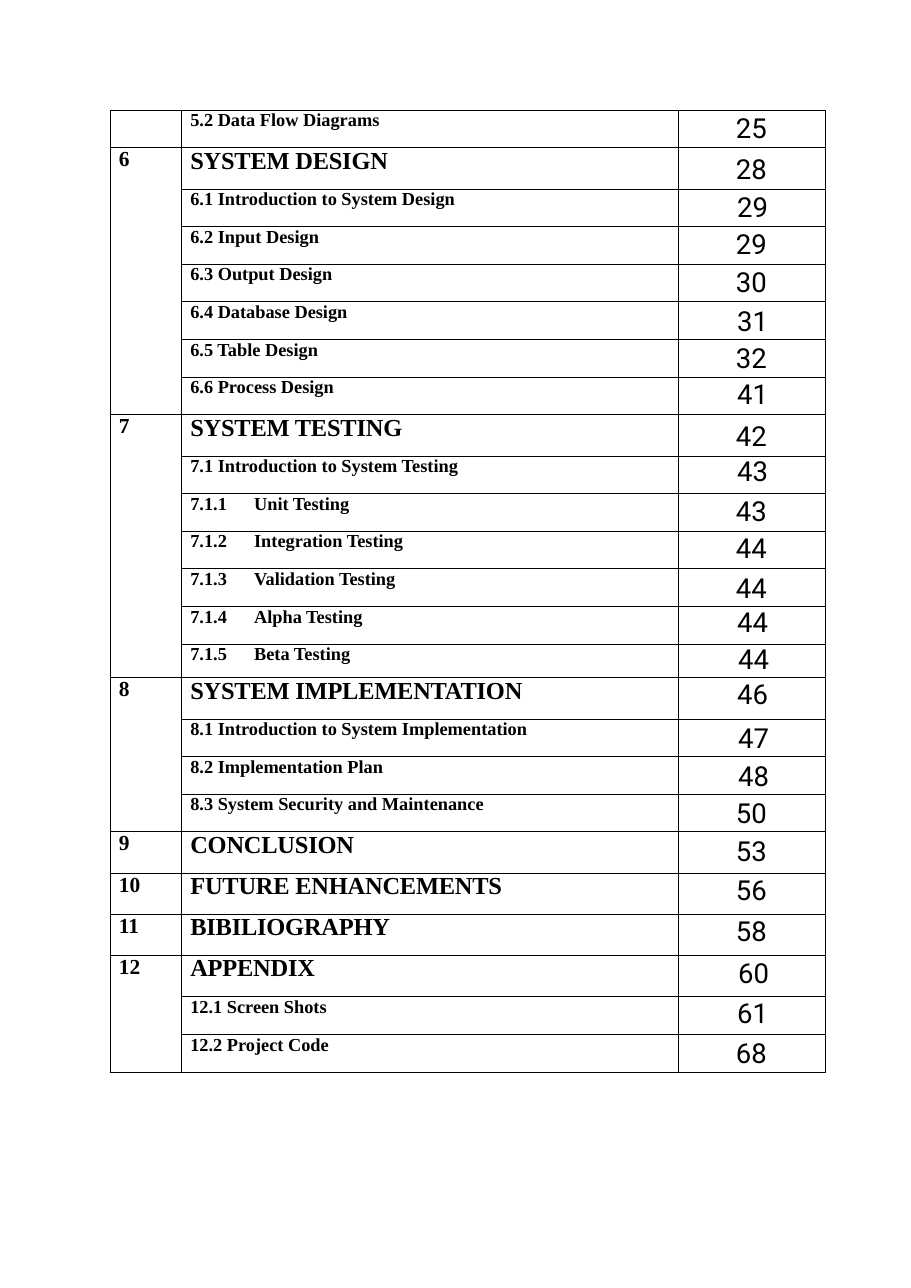
from lxml.etree import SubElement
from pptx import Presentation
from pptx.dml.color import RGBColor
from pptx.oxml.ns import qn
from pptx.util import Inches, Pt

BLACK = RGBColor(0x00, 0x00, 0x00)
SERIF, SANS = "Times New Roman", "Roboto"

# Chapters: number, then entries of (title, page number, page left inset, page top inset)
CHAPTERS = [
    ("", [("5.2 Data Flow Diagrams", "25", 0.52, 0.03)]),
    ("6", [
        ("SYSTEM DESIGN", "28", 0.52, 0.06),
        ("6.1 Introduction to System Design", "29", 0.53, 0.03),
        ("6.2 Input Design", "29", 0.52, 0.02),
        ("6.3 Output Design", "30", 0.52, 0.03),
        ("6.4 Database Design", "31", 0.53, 0.04),
        ("6.5 Table Design", "32", 0.52, 0.03),
        ("6.6 Process Design", "41", 0.53, 0.02),
    ]),
    ("7", [
        ("SYSTEM TESTING", "42", 0.52, 0.06),
        ("7.1 Introduction to System Testing", "43", 0.53, 0),
        ("7.1.1\tUnit Testing", "43", 0.52, 0.02),
        ("7.1.2\tIntegration Testing", "44", 0.52, 0.02),
        ("7.1.3\tValidation Testing", "44", 0.52, 0.04),
        ("7.1.4\tAlpha Testing", "44", 0.53, 0.01),
        ("7.1.5\tBeta Testing", "44", 0.54, 0),
    ]),
    ("8", [
        ("SYSTEM IMPLEMENTATION", "46", 0.53, 0.01),
        ("8.1 Introduction to System Implementation", "47", 0.54, 0.04),
        ("8.2 Implementation Plan", "48", 0.54, 0.04),
        ("8.3 System Security and Maintenance", "50", 0.52, 0.04),
    ]),
    ("9", [("CONCLUSION", "53", 0.52, 0.04)]),
    ("10", [("FUTURE ENHANCEMENTS", "56", 0.52, 0.02)]),
    ("11", [("BIBILIOGRAPHY", "58", 0.52, 0.02)]),
    ("12", [
        ("APPENDIX", "60", 0.54, 0.02),
        ("12.1 Screen Shots", "61", 0.53, 0.01),
        ("12.2 Project Code", "68", 0.52, 0.03),
    ]),
]
COLUMN_WIDTHS = [0.65, 4.52, 1.33]
TEXT_INSET, TAB_STOP = 0.08, 0.58

# Row heights in points
HEADING_ROW, ENTRY_ROW = 27, 24.65
SPECIAL_ROWS = {"7.1.5\tBeta Testing": 22, "12.1 Screen Shots": 25}


def draw_borders(cell):
    properties = cell._tc.get_or_add_tcPr()
    for side in ("a:lnL", "a:lnR", "a:lnT", "a:lnB"):
        line = SubElement(properties, qn(side), w=str(Pt(0.5)))
        fill = SubElement(line, qn("a:solidFill"))
        SubElement(fill, qn("a:srgbClr"), val=str(BLACK))


def write(cell, text, font_name, size, bold, left, top=0, line_spacing=None):
    cell.margin_left, cell.margin_top = Inches(left), Inches(top)
    cell.margin_right = cell.margin_bottom = 0
    para = cell.text_frame.paragraphs[0]
    if text:
        para.add_run().text = text
    if line_spacing:
        para.line_spacing = Pt(line_spacing)
    if "\t" in text:
        tabs = SubElement(para._p.get_or_add_pPr(), qn("a:tabLst"))
        SubElement(tabs, qn("a:tab"), pos=str(Inches(TAB_STOP)), algn="l")
    para.font.name, para.font.size, para.font.bold = font_name, Pt(size), bold
    para.font.color.rgb = BLACK
    return para


deck = Presentation()
deck.slide_width, deck.slide_height = Inches(8.28), Inches(11.71)
page = deck.slides.add_slide(deck.slide_layouts[6])

# Contents table
row_count = sum(len(entries) for _, entries in CHAPTERS)
table = page.shapes.add_table(row_count, len(COLUMN_WIDTHS), Inches(1), Inches(1),
                              Inches(6.5), Inches(8.75)).table
table.first_row = table.horz_banding = False
for column, width in zip(table.columns, COLUMN_WIDTHS):
    column.width = Inches(width)
for cell in table.iter_cells():
    draw_borders(cell)
    cell.fill.background()

# Chapters and their entries
row = 0
for number, entries in CHAPTERS:
    first_row = row
    for title, page_number, page_left, page_top in entries:
        heading = title.isupper()
        height = SPECIAL_ROWS.get(title, HEADING_ROW if heading else ENTRY_ROW)
        table.rows[row].height = Inches(height / 72)
        write(table.cell(row, 0), number if row == first_row else "",
              SERIF, 14, True, TEXT_INSET, line_spacing=15.6)
        para = write(table.cell(row, 1), title, SERIF, 16 if heading else 12, True,
                     TEXT_INSET, line_spacing=17.6 if heading else 13.6)
        if heading:
            para.runs[0]._r.get_or_add_rPr().set("spc", "-10")
        write(table.cell(row, 2), page_number, SANS, 18, False, page_left, page_top)
        row += 1
    if len(entries) > 1:
        table.cell(first_row, 0).merge(table.cell(row - 1, 0))

deck.save("out.pptx")
